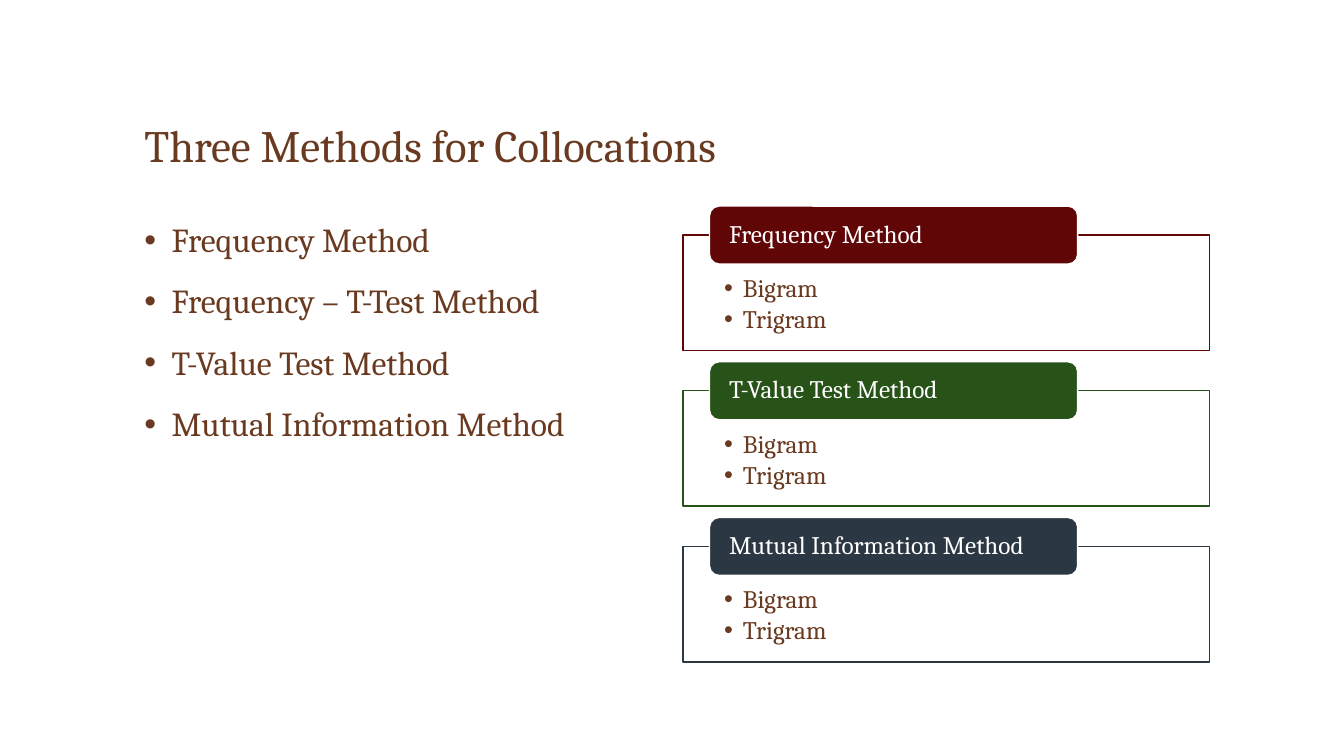
"""Build a slide listing three methods for collocations."""
from lxml.etree import SubElement
from pptx import Presentation
from pptx.dml.color import RGBColor
from pptx.enum.shapes import MSO_SHAPE
from pptx.enum.text import MSO_ANCHOR, PP_ALIGN
from pptx.oxml.ns import qn
from pptx.util import Pt

FONT = "Cambria"
BROWN = RGBColor(0x6A, 0x3A, 0x20)
WHITE = RGBColor(0xFF, 0xFF, 0xFF)
RED = RGBColor(0x61, 0x06, 0x06)
GREEN = RGBColor(0x27, 0x52, 0x18)
SLATE = RGBColor(0x2B, 0x37, 0x42)

TITLE = "Three Methods for Collocations"
METHODS = [
    "Frequency Method",
    "Frequency – T-Test Method",
    "T-Value Test Method",
    "Mutual Information Method",
]
GROUPS = [
    ("Frequency Method", RED),
    ("T-Value Test Method", GREEN),
    ("Mutual Information Method", SLATE),
]
NGRAMS = ["Bigram", "Trigram"]

LEFT, CONTENT_WIDTH = 96, 768
COLUMN_WIDTH = 376
BOX_LEFT, BOX_TOP, BOX_HEIGHT = 488, 167.8, 82.6
LABEL_INDENT, LABEL_RISE = 18.8, 20.6
LABEL_WIDTH, LABEL_HEIGHT = 263, 41.4
GROUP_PITCH = 111.2


def write_text(shape, lines, size, color=BROWN, anchor=MSO_ANCHOR.TOP,
               insets=(7.2, 3.6, 7.2, 3.6), indent=0, line_spacing=0.9,
               before=0, after=0):
    frame = shape.text_frame
    frame.word_wrap = True
    frame.vertical_anchor = anchor
    (frame.margin_left, frame.margin_top,
     frame.margin_right, frame.margin_bottom) = map(Pt, insets)
    for index, line in enumerate(lines):
        paragraph = frame.add_paragraph() if index else frame.paragraphs[0]
        paragraph.alignment = PP_ALIGN.LEFT
        paragraph.line_spacing = line_spacing
        paragraph.space_before = Pt(before)
        paragraph.space_after = Pt(after)
        run = paragraph.add_run()
        run.text = line
        run.font.name = FONT
        run.font.size = Pt(size)
        run.font.color.rgb = color
        if indent:
            properties = paragraph._p.get_or_add_pPr()
            properties.set("marL", str(Pt(indent)))
            properties.set("indent", str(-Pt(indent)))
            SubElement(properties, qn("a:buFont"), typeface="Arial")
            SubElement(properties, qn("a:buChar"), char="•")


def add_panel(slide, kind, bounds, fill, line):
    shape = slide.shapes.add_shape(kind, *map(Pt, bounds))
    shape.shadow.inherit = False
    shape.fill.solid()
    shape.fill.fore_color.rgb = fill
    shape.line.color.rgb = line
    shape.line.width = Pt(1)
    return shape


def add_group(slide, top, label, color):
    box = add_panel(slide, MSO_SHAPE.RECTANGLE,
                    (BOX_LEFT, top, COLUMN_WIDTH, BOX_HEIGHT), WHITE, color)
    fill_color = box._element.spPr.find(qn("a:solidFill"))[0]
    SubElement(fill_color, qn("a:alpha"), val="90000")
    write_text(box, NGRAMS, 18, insets=(29.2, 29.2, 29.2, 10),
               indent=13.5, after=2.7)
    tab = add_panel(slide, MSO_SHAPE.ROUNDED_RECTANGLE,
                    (BOX_LEFT + LABEL_INDENT, top - LABEL_RISE,
                     LABEL_WIDTH, LABEL_HEIGHT), color, WHITE)
    write_text(tab, [label], 18, color=WHITE, anchor=MSO_ANCHOR.MIDDLE,
               insets=(12, 0, 12, 0))


def main():
    presentation = Presentation()
    presentation.slide_width, presentation.slide_height = Pt(960), Pt(540)
    slide = presentation.slides.add_slide(presentation.slide_layouts[6])

    title = slide.shapes.add_textbox(Pt(LEFT), Pt(34), Pt(CONTENT_WIDTH), Pt(92))
    write_text(title, [TITLE], 32, anchor=MSO_ANCHOR.BOTTOM, line_spacing=1.0)

    methods = slide.shapes.add_textbox(Pt(LEFT), Pt(156), Pt(COLUMN_WIDTH), Pt(322))
    write_text(methods, METHODS, 24, indent=19.5, before=18)

    for index, (label, color) in enumerate(GROUPS):
        add_group(slide, BOX_TOP + index * GROUP_PITCH, label, color)

    presentation.save("out.pptx")


if __name__ == "__main__":
    main()
